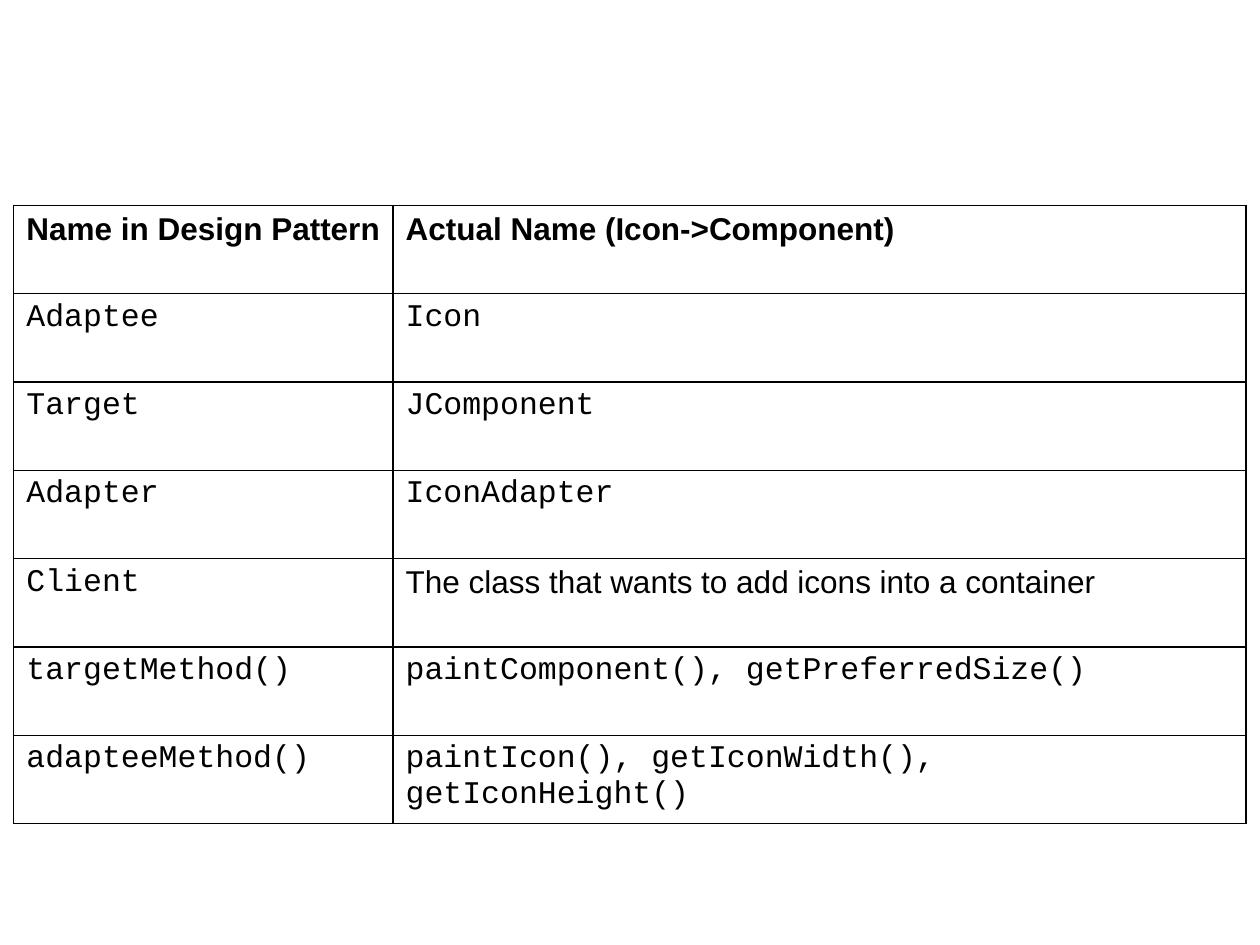
from dataclasses import dataclass

from lxml import etree
from pptx import Presentation
from pptx.dml.color import RGBColor
from pptx.enum.text import MSO_ANCHOR
from pptx.oxml.ns import qn
from pptx.util import Pt

TOP = MSO_ANCHOR.TOP


@dataclass(frozen=True)
class Theme:
    ink: str = "000000"
    text_size: float = 18
    rule_width: float = 0.75
    prose_font: str = "Arial"
    code_font: str = "Courier New"


THEME = Theme()
HEADINGS = ("Name in Design Pattern", "Actual Name (Icon->Component)")
ROLES = [
    ("Adaptee", "Icon"),
    ("Target", "JComponent"),
    ("Adapter", "IconAdapter"),
    ("Client", "The class that wants to add icons into a container"),
    ("targetMethod()", "paintComponent(), getPreferredSize()"),
    ("adapteeMethod()", "paintIcon(), getIconWidth(), getIconHeight()"),
]
PROSE = {"The class that wants to add icons into a container"}
COLUMN_WIDTHS = (216.7, 487.4)
ROW_HEIGHT = 50.5


def write_text(frame, text, font=THEME.code_font, bold=False):
    paragraph = frame.paragraphs[0]
    run = paragraph.add_run()
    run.text = text
    run.font.name = font
    run.font.size = Pt(THEME.text_size)
    run.font.bold = bold
    run.font.color.rgb = RGBColor.from_string(THEME.ink)


def rule_cell(cell):
    properties = cell._tc.get_or_add_tcPr()
    for position, side in enumerate(("a:lnL", "a:lnR", "a:lnT", "a:lnB")):
        rule = etree.Element(qn(side), w=str(Pt(THEME.rule_width)))
        fill = etree.SubElement(rule, qn("a:solidFill"))
        etree.SubElement(fill, qn("a:srgbClr"), val=THEME.ink)
        properties.insert(position, rule)


def fill_cell(cell, text, **text_format):
    cell.fill.background()
    cell.vertical_anchor = TOP
    rule_cell(cell)
    write_text(cell.text_frame, text, **text_format)


def add_role_table(slide, left, top):
    row_count = len(ROLES) + 1
    table = slide.shapes.add_table(
        row_count, len(HEADINGS), Pt(left), Pt(top),
        Pt(sum(COLUMN_WIDTHS)), Pt(ROW_HEIGHT * row_count),
    ).table
    table.horz_banding = False
    for column, width in zip(table.columns, COLUMN_WIDTHS):
        column.width = Pt(width)
    for row in table.rows:
        row.height = Pt(ROW_HEIGHT)

    for column, heading in enumerate(HEADINGS):
        fill_cell(table.cell(0, column), heading, font=THEME.prose_font, bold=True)
    for row, names in enumerate(ROLES, start=1):
        for column, name in enumerate(names):
            font = THEME.prose_font if name in PROSE else THEME.code_font
            fill_cell(table.cell(row, column), name, font=font)


def main():
    deck = Presentation()
    deck.slide_width, deck.slide_height = Pt(720), Pt(540)
    slide = deck.slides.add_slide(deck.slide_layouts[6])
    add_role_table(slide, left=7.9, top=117.3)
    deck.save("out.pptx")


if __name__ == "__main__":
    main()
